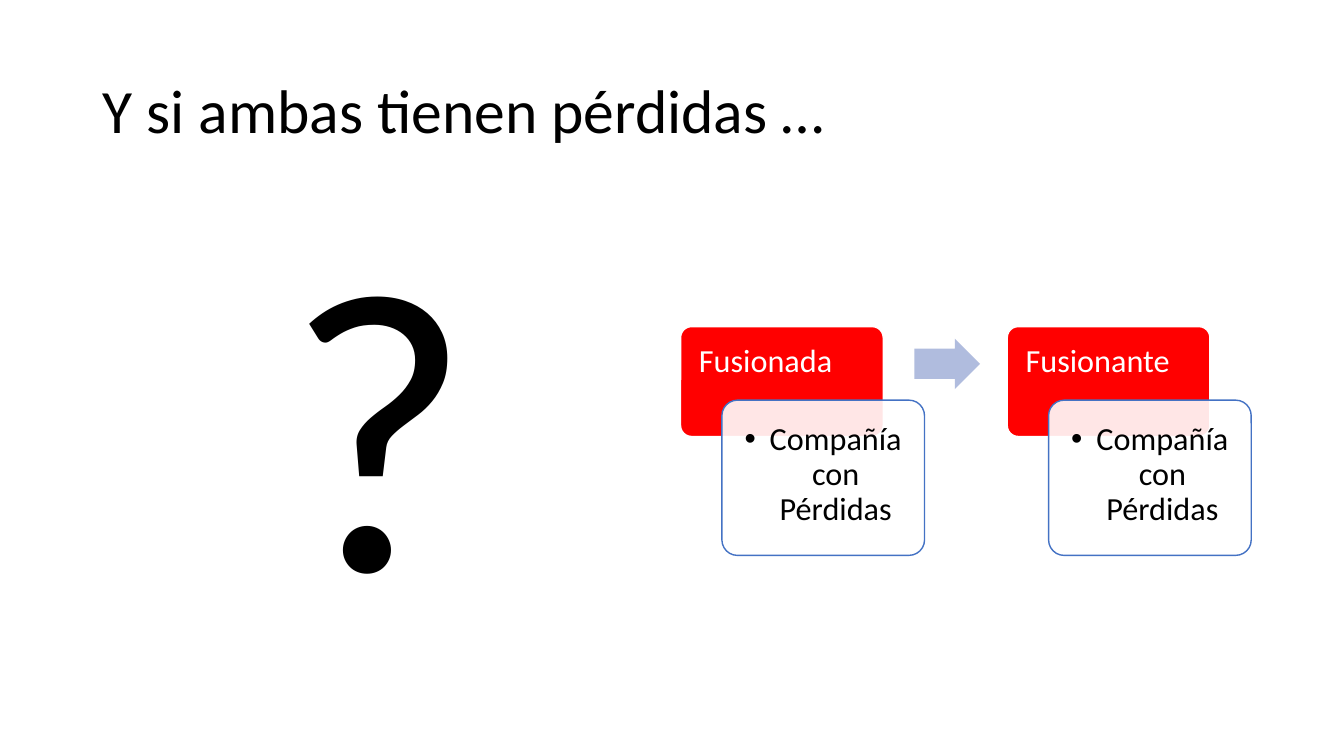
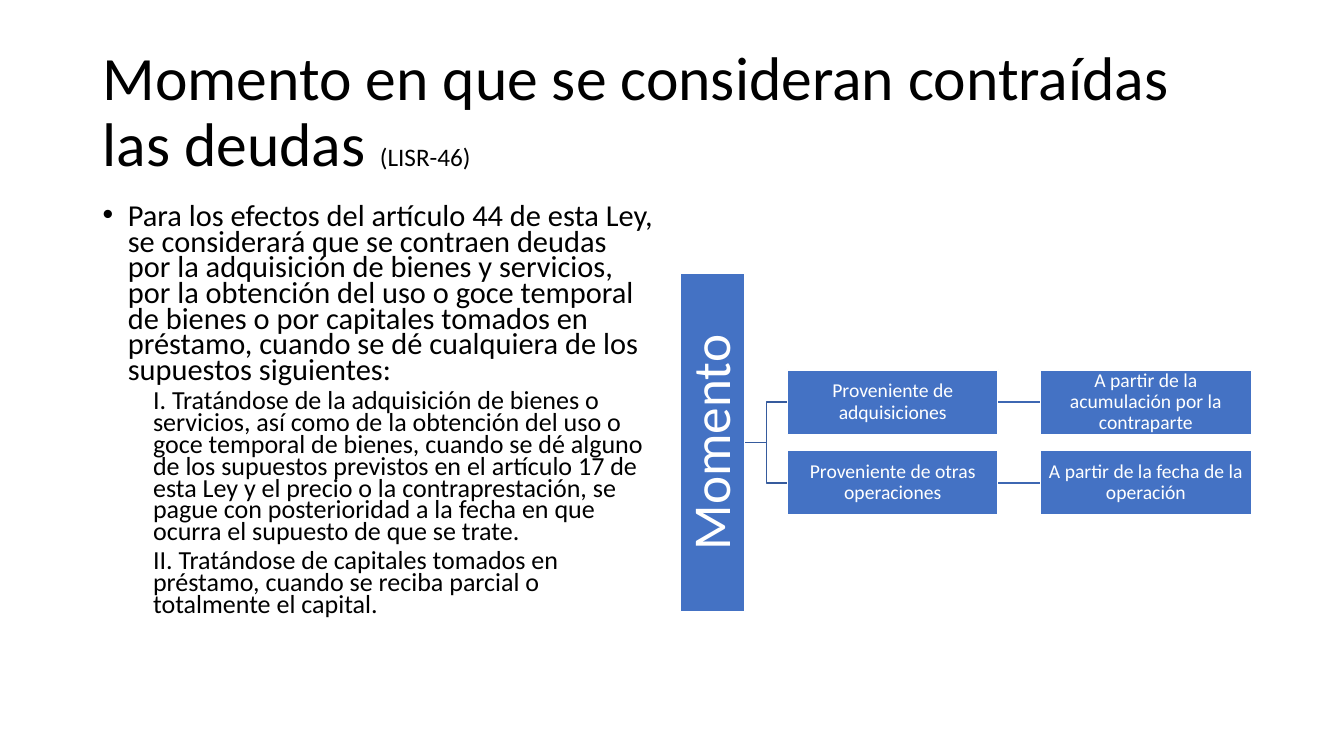
from dataclasses import dataclass

from lxml.etree import SubElement
from pptx import Presentation
from pptx.dml.color import RGBColor
from pptx.enum.shapes import MSO_CONNECTOR as Link, MSO_SHAPE as Preset
from pptx.enum.text import MSO_ANCHOR as Anchor, PP_ALIGN as Align
from pptx.oxml.ns import qn
from pptx.util import Emu, Pt

PX = 9144
FONT = "Calibri"
BLACK, WHITE, RED, BLUE = "000000", "FFFFFF", "FF0000", "4472C4"
ARROW, TRUNK, BRANCH = "B0BCDE", "365B9D", "3E67B2"


@dataclass(frozen=True)
class Area:
    left: int
    top: int
    width: int
    height: int

    def emu(self) -> tuple:
        return tuple(px(n) for n in (self.left, self.top, self.width, self.height))


@dataclass(frozen=True)
class Para:
    text: str
    size: float
    color: str = BLACK
    align: Align = Align.LEFT
    spacing: float = 0.9
    before: int = 0
    margin: int = 0
    bullet: bool = False
    suffix: str = ""
    suffix_size: int = 18


@dataclass(frozen=True)
class Company:
    role: str
    left: int


@dataclass(frozen=True)
class DebtCase:
    origin: str
    moment: str


TITLE = Area(92, 40, 1150, 145)
BODY = Area(92, 200, 567, 476)
COMPANIES = [Company("Fusionada", 675), Company("Fusionante", 999)]
CASES = [
    DebtCase("Proveniente de adquisiciones", "A partir de la acumulación por la contraparte"),
    DebtCase("Proveniente de otras operaciones", "A partir de la fecha de la operación"),
]
RULE = (
    "Para los efectos del artículo 44 de esta Ley, se considerará que se contraen deudas "
    "por la adquisición de bienes y servicios, por la obtención del uso o goce temporal de "
    "bienes o por capitales tomados en préstamo, cuando se dé cualquiera de los supuestos "
    "siguientes:"
)
CLAUSES = [
    "I. Tratándose de la adquisición de bienes o servicios, así como de la obtención del uso "
    "o goce temporal de bienes, cuando se dé alguno de los supuestos previstos en el "
    "artículo 17 de esta Ley y el precio o la contraprestación, se pague con posterioridad a "
    "la fecha en que ocurra el supuesto de que se trate.",
    "II. Tratándose de capitales tomados en préstamo, cuando se reciba parcial o totalmente "
    "el capital.",
]


def px(n: int) -> Emu:
    return Emu(n * PX)


def rgb(value: str) -> RGBColor:
    return RGBColor.from_string(value)


def write(shape, paras: list, anchor: Anchor = Anchor.TOP, inset: tuple = (10, 5)) -> None:
    frame = shape.text_frame
    frame.word_wrap = True
    frame.vertical_anchor = anchor
    frame.margin_left = frame.margin_right = px(inset[0])
    frame.margin_top = frame.margin_bottom = px(inset[1])
    for i, para in enumerate(paras):
        paragraph = frame.add_paragraph() if i else frame.paragraphs[0]
        props = paragraph._p.get_or_add_pPr()
        if para.margin:
            props.set("marL", str(px(para.margin)))
            props.set("indent", str(px(-para.margin if para.bullet else 0)))
        if para.bullet:
            SubElement(props, qn("a:buFont")).set("typeface", "Arial")
            SubElement(props, qn("a:buChar")).set("char", "•")
        paragraph.alignment = para.align
        paragraph.line_spacing = para.spacing
        paragraph.space_before = Pt(para.before)
        paragraph.font.name = FONT
        paragraph.font.size = Pt(para.size)
        paragraph.font.color.rgb = rgb(para.color)
        paragraph.add_run().text = para.text
        if para.suffix:
            note = paragraph.add_run()
            note.text = para.suffix
            note.font.size = Pt(para.suffix_size)


def add_text(slide, area: Area, paras: list, anchor: Anchor = Anchor.TOP) -> None:
    write(slide.shapes.add_textbox(*area.emu()), paras, anchor)


def add_block(slide, preset: Preset, area: Area, fill: str, line: str = "",
              adjust: tuple = (), opacity: int = 100):
    block = slide.shapes.add_shape(preset, *area.emu())
    block.shadow.inherit = False
    block.fill.solid()
    block.fill.fore_color.rgb = rgb(fill)
    if opacity < 100:
        color = block.element.spPr.find(qn("a:solidFill")).find(qn("a:srgbClr"))
        SubElement(color, qn("a:alpha")).set("val", str(opacity * 1000))
    if line:
        block.line.color.rgb = rgb(line)
        block.line.width = Pt(1)
    else:
        block.line.fill.background()
    for i, value in enumerate(adjust):
        block.adjustments[i] = value
    return block


def add_link(slide, kind: Link, start, end, color: str) -> None:
    link = slide.shapes.add_connector(kind, 0, 0, 0, 0)
    link.begin_connect(start, 3)
    link.end_connect(end, 1)
    link.line.color.rgb = rgb(color)
    link.line.width = Pt(1)
    SubElement(link._element.spPr, qn("a:effectLst"))


def add_titled_slide(deck, title: str, suffix: str = ""):
    slide = deck.slides.add_slide(deck.slide_layouts[6])
    add_text(slide, TITLE, [Para(title, 44, suffix=suffix)], Anchor.MIDDLE)
    return slide


def add_company(slide, company: Company) -> None:
    role = add_block(slide, Preset.ROUNDED_RECTANGLE, Area(company.left, 324, 201, 109),
                     RED, WHITE, (0.1,))
    write(role, [Para(company.role, 23, WHITE)], inset=(15, 15))
    status = add_block(slide, Preset.ROUNDED_RECTANGLE, Area(company.left + 41, 397, 201, 154),
                       WHITE, BLUE, (0.1,), 90)
    write(status, [Para("Compañía con Pérdidas", 23, align=Align.CENTER, margin=25, bullet=True)],
          inset=(16, 18))


def add_node(slide, area: Area, text: str, size: int, inset: int):
    node = add_block(slide, Preset.RECTANGLE, area, BLUE, WHITE)
    write(node, [Para(text, size, WHITE, Align.CENTER)], Anchor.MIDDLE, (inset, inset))
    return node


def build_losses(deck) -> None:
    slide = add_titled_slide(deck, "Y si ambas tienen pérdidas …")
    add_text(slide, BODY, [Para("?", 287, align=Align.CENTER)], Anchor.MIDDLE)
    for company in COMPANIES:
        add_company(slide, company)
    add_block(slide, Preset.RIGHT_ARROW, Area(907, 336, 65, 50), ARROW, adjust=(0.6, 0.5))


def build_debts(deck) -> None:
    slide = add_titled_slide(
        deck, "Momento en que se consideran contraídas las deudas ", "(LISR-46)")
    clauses = [Para(text, 18.6, spacing=0.7, before=5, margin=50) for text in CLAUSES]
    add_text(slide, BODY, [Para(RULE, 21.7, spacing=0.7, margin=25, bullet=True), *clauses])
    root = add_node(slide, Area(675, 271, 64, 336), "Momento", 38, 3)
    root.text_frame._txBody.bodyPr.set("vert", "vert270")
    for row, case in enumerate(CASES):
        origin, moment = (
            add_node(slide, Area(781 + 251 * column, 367 + 80 * row, 209, 64), text, 14, 1)
            for column, text in enumerate((case.origin, case.moment))
        )
        add_link(slide, Link.ELBOW, root, origin, TRUNK)
        add_link(slide, Link.STRAIGHT, origin, moment, BRANCH)


def main() -> None:
    deck = Presentation()
    deck.slide_width, deck.slide_height = px(1333), px(750)
    build_losses(deck)
    build_debts(deck)
    deck.save("out.pptx")


if __name__ == "__main__":
    main()
